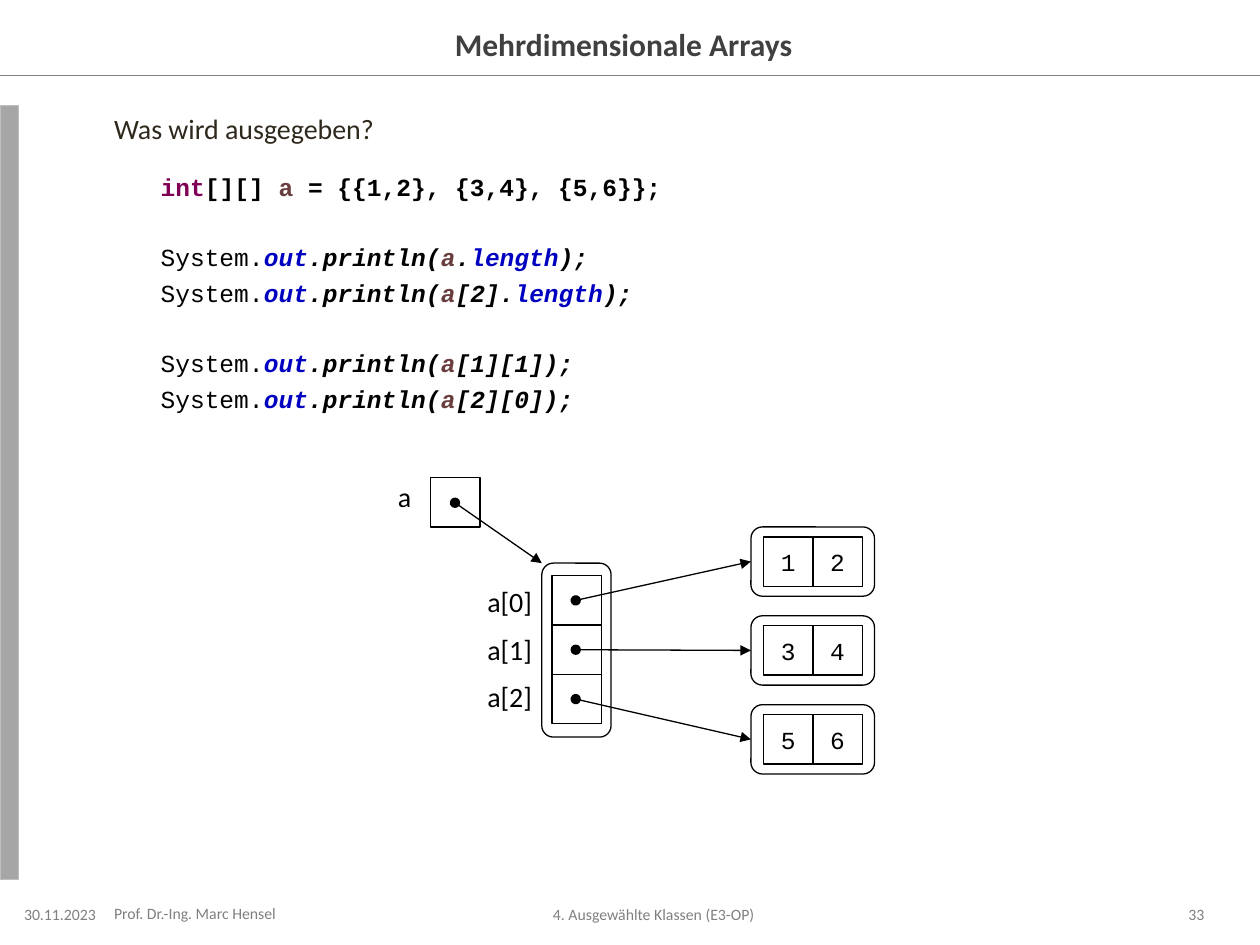
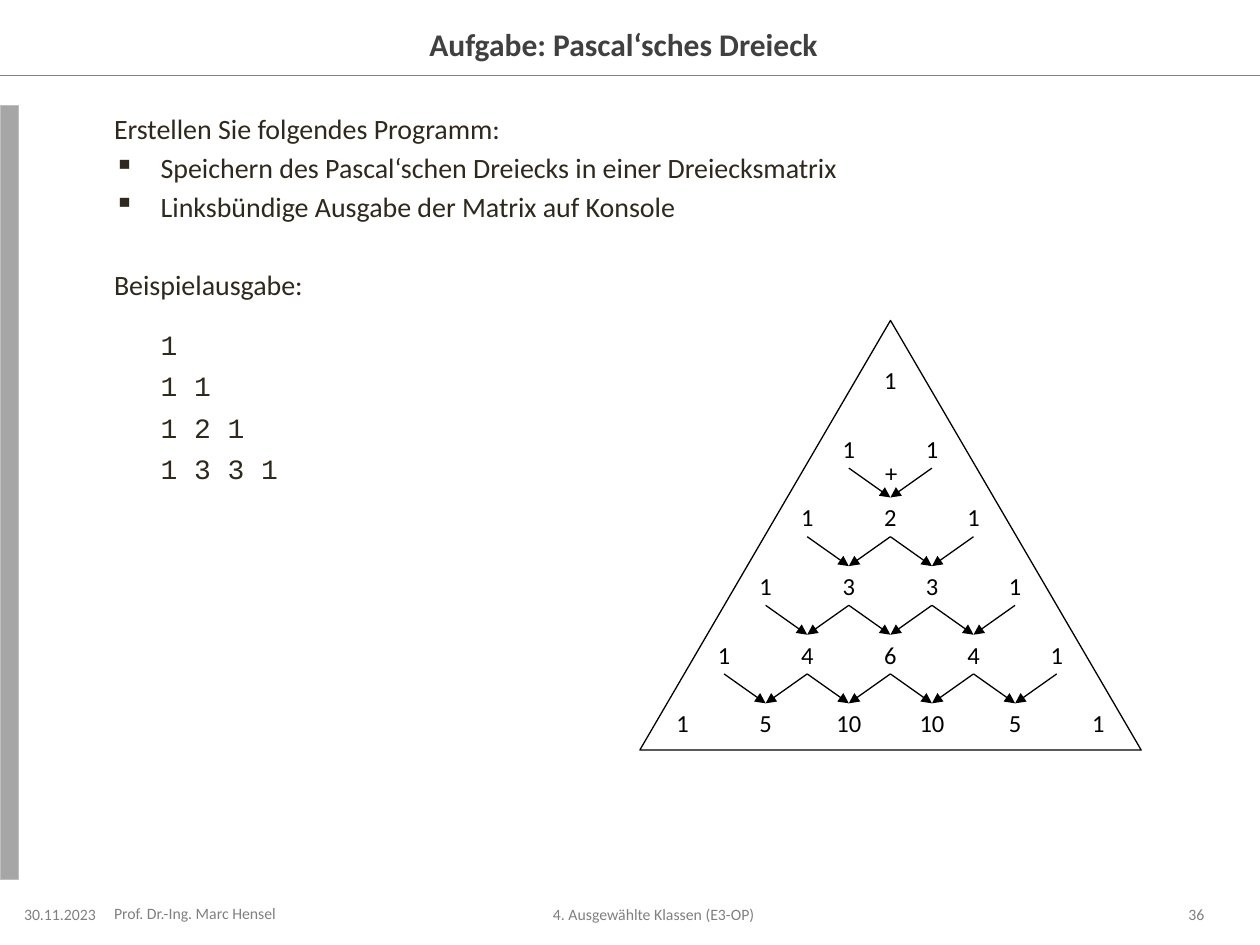
from dataclasses import dataclass
from math import comb

from lxml import etree
from pptx import Presentation
from pptx.dml.color import RGBColor
from pptx.enum.shapes import MSO_CONNECTOR, MSO_SHAPE
from pptx.enum.text import MSO_ANCHOR, MSO_AUTO_SIZE, PP_ALIGN
from pptx.oxml.ns import qn
from pptx.util import Pt

RECT = MSO_SHAPE.RECTANGLE
ROUNDED = MSO_SHAPE.ROUNDED_RECTANGLE
TRIANGLE = MSO_SHAPE.ISOSCELES_TRIANGLE
STRAIGHT = MSO_CONNECTOR.STRAIGHT
LEFT, CENTER, RIGHT = PP_ALIGN.LEFT, PP_ALIGN.CENTER, PP_ALIGN.RIGHT
TOP, MIDDLE = MSO_ANCHOR.TOP, MSO_ANCHOR.MIDDLE
NO_AUTOFIT = MSO_AUTO_SIZE.NONE
SIDE_TOP, SIDE_LEFT, SIDE_BOTTOM = 0, 1, 2
TITLE_ONLY = 5


@dataclass(frozen=True)
class Theme:
    sans: str = "Calibri"
    mono: str = "Courier New"
    black: str = "000000"
    white: str = "FFFFFF"
    body: str = "2F291D"
    title: str = "404040"
    footer: str = "808080"
    band: str = "A6A6A6"
    band_edge: str = "BFBFBF"
    keyword: str = "7F0055"
    variable: str = "6A3E3E"
    member: str = "0000C0"
    title_size: float = 18
    text_size: float = 16
    code_size: float = 14
    footer_size: float = 9
    line_width: float = 0.75
    indent: float = 26.65


@dataclass(frozen=True)
class Style:
    size: float
    color: str
    font: str = Theme.sans
    bold: bool = False
    italic: bool = False


@dataclass(frozen=True)
class Line:
    runs: tuple
    before: float = 0
    indent: float = 0
    bullet: str = ""


THEME = Theme()
BODY = Style(THEME.text_size, THEME.body)
CONSOLE = Style(THEME.text_size, THEME.body, THEME.mono)
LABEL = Style(THEME.text_size, THEME.black)
NUMBER = Style(THEME.code_size, THEME.black)
VALUE = Style(THEME.code_size, THEME.black, THEME.mono)
FOOTER = Style(THEME.footer_size, THEME.footer)
TITLE = Style(THEME.title_size, THEME.title, bold=True)
FLUSH = (0, 3.6, 7.2, 3.6)
FLUSH_RIGHT = (7.2, 3.6, 0, 3.6)
INSET = (7.2, 3.6, 7.2, 3.6)
NARROW = (2.9, 3.6, 2.9, 3.6)


def code(color, bold=True, italic=False):
    return Style(THEME.code_size, color, THEME.mono, bold, italic)


def println(before, *arguments):
    call = [("System.", THEME.black), ("out", THEME.member),
            (".println(", THEME.black), ("a", THEME.variable), *arguments]
    runs = tuple((text, code(color, i > 0, i > 0)) for i, (text, color) in enumerate(call))
    return Line(runs, before, THEME.indent)


class Deck:
    def __init__(self, theme):
        self.theme = theme
        self.presentation = Presentation()
        self.presentation.slide_width = Pt(720)
        self.presentation.slide_height = Pt(540)
        self.slide = None

    def new_slide(self, title, number):
        layout = self.presentation.slide_layouts[TITLE_ONLY]
        self.slide = self.presentation.slides.add_slide(layout)
        heading = self.slide.shapes.title
        heading.left, heading.top = Pt(89.3), Pt(10.8)
        heading.width, heading.height = Pt(541.4), Pt(28.1)
        self.fill_text(heading, [Line(((title, TITLE),))], CENTER, MIDDLE, FLUSH)
        self.line((0, 43.2), (720, 43.2), self.theme.footer)
        self.shape(RECT, (0, 60.5, 10.8, 442.1), self.theme.band, self.theme.band_edge)
        for text, box, align, inset in (
            ("4. Ausgewählte Klassen (E3-OP)", (178.6, 517, 396.7, 10.8), CENTER, FLUSH),
            ("30.11.2023", (10.8, 516.6, 54, 11.3), CENTER, FLUSH),
            ("Prof. Dr.-Ing. Marc Hensel", (65.2, 516.6, 108, 10.8), LEFT, FLUSH),
            (number, (642.2, 517, 46.1, 10.8), RIGHT, FLUSH_RIGHT),
        ):
            self.text(box, [Line(((text, FOOTER),))], align, MIDDLE, inset)

    def fill_text(self, target, lines, align=LEFT, anchor=TOP, inset=INSET):
        frame = target.text_frame
        frame.auto_size = NO_AUTOFIT
        frame.word_wrap = True
        frame.vertical_anchor = anchor
        frame.margin_left, frame.margin_top, frame.margin_right, frame.margin_bottom = map(Pt, inset)
        for i, line in enumerate(lines):
            paragraph = frame.add_paragraph() if i else frame.paragraphs[0]
            paragraph.alignment = align
            paragraph.space_before = Pt(line.before)
            properties = paragraph._p.get_or_add_pPr()
            properties.set("marL", str(Pt(line.indent)))
            properties.set("indent", str(-Pt(line.indent) if line.bullet else 0))
            if line.bullet:
                etree.SubElement(properties, qn("a:buChar"), char=line.bullet)
            for text, style in line.runs:
                run = paragraph.add_run()
                run.text = text
                font = run.font
                font.name, font.size = style.font, Pt(style.size)
                font.bold, font.italic = style.bold, style.italic
                font.color.rgb = RGBColor.from_string(style.color)

    def text(self, box, lines, align=LEFT, anchor=TOP, inset=INSET):
        target = self.slide.shapes.add_textbox(*map(Pt, box))
        self.fill_text(target, lines, align, anchor, inset)

    def body(self, lines):
        self.text((65.2, 60.5, 623.5, 442.1), lines, inset=FLUSH)

    def shape(self, kind, box, fill=None, edge=None):
        shape = self.slide.shapes.add_shape(kind, *map(Pt, box))
        shape.shadow.inherit = False
        if fill:
            shape.fill.solid()
            shape.fill.fore_color.rgb = RGBColor.from_string(fill)
        else:
            shape.fill.background()
        if edge:
            shape.line.color.rgb = RGBColor.from_string(edge)
            shape.line.width = Pt(self.theme.line_width)
        else:
            shape.line.fill.background()
        return shape

    def outline(self, kind, box):
        return self.shape(kind, box, edge=self.theme.black)

    def cell(self, box, text="", style=VALUE, edge=None, inset=INSET):
        cell = self.shape(RECT, box, self.theme.white, edge)
        if text:
            self.fill_text(cell, [Line(((text, style),))], CENTER, MIDDLE, inset)
        return cell

    def line(self, start, end, color, head=None, tail=None):
        connector = self.slide.shapes.add_connector(STRAIGHT, *map(Pt, (*start, *end)))
        connector.line.color.rgb = RGBColor.from_string(color)
        connector.line.width = Pt(self.theme.line_width)
        properties = connector.element.spPr
        stroke = properties.find(qn("a:ln"))
        for tag, kind in (("a:headEnd", head), ("a:tailEnd", tail)):
            if kind:
                etree.SubElement(stroke, qn(tag), type=kind)
        etree.SubElement(properties, qn("a:effectLst"))
        return connector

    def reference(self, start, end):
        return self.line(start, end, self.theme.black, "oval", "triangle")

    def sum_arrow(self, parent, child):
        arrow = self.line((0, 0), (0, 0), self.theme.black, tail="triangle")
        arrow.begin_connect(parent, SIDE_BOTTOM)
        arrow.end_connect(child, SIDE_TOP)


def arrays_slide(deck):
    theme = deck.theme
    deck.new_slide("Mehrdimensionale Arrays", "33")
    declaration = (("int", theme.keyword), ("[][] ", theme.black), ("a", theme.variable),
                   (" = {{1,2}, {3,4}, {5,6}};", theme.black))
    close, member = (");", theme.black), ("length", theme.member)
    near, far = 3.7, 23.2
    deck.body([
        Line((("Was wird ausgegeben?", BODY),)),
        Line(tuple((text, code(color)) for text, color in declaration), 14.9, theme.indent),
        println(far, (".", theme.black), member, close),
        println(near, ("[2].", theme.black), member, close),
        println(far, ("[1][1]);", theme.black)),
        println(near, ("[2][0]);", theme.black)),
    ])

    side = 28.2
    deck.text((220.3, 270.7, 39.6, 29.5), [Line((("a", LABEL),))])
    deck.cell((246.2, 272.9, side, side), edge=theme.black)
    deck.reference((260, 287.3), (309.6, 321.8))
    deck.outline(ROUNDED, (309.6, 321.8, 39.6, 99.4))
    deck.text((271.4, 330.5, 54, 90),
              [Line(((f"a[{i}]", LABEL),), 8 if i else 0) for i in range(3)])
    for i, row in enumerate(((1, 2), (3, 4), (5, 6))):
        slot_top = 329 + i * side
        row_top = 301.1 + i * 50.8
        deck.cell((315.4, slot_top, side, side), edge=theme.black)
        row_frame = deck.outline(ROUNDED, (429.1, row_top, 70.6, 39.6))
        for j, value in enumerate(row):
            deck.cell((436.3 + j * side, row_top + 5.7, side, side), str(value), edge=theme.black)
        deck.reference((329, slot_top + side / 2), (429.1, row_top + 19.8)).end_connect(
            row_frame, SIDE_LEFT)


def pascal_slide(deck):
    deck.new_slide("Aufgabe: Pascal‘sches Dreieck", "36")
    indent, near = deck.theme.indent, 2.9
    tasks = ("Speichern des Pascal‘schen Dreiecks in einer Dreiecksmatrix",
             "Linksbündige Ausgabe der Matrix auf Konsole")
    triangle = [[str(comb(n, k)) for k in range(n + 1)] for n in range(6)]
    deck.body([
        Line((("Erstellen Sie folgendes Programm:", BODY),)),
        *(Line(((task, BODY),), near, indent, "▪") for task in tasks),
        Line((("Beispielausgabe:", BODY),), 25.3),
        *(Line(((" ".join(row), CONSOLE),), 4.3 if n else 15.5, indent)
          for n, row in enumerate(triangle[:4])),
    ])

    width, height, center = 28.2, 22.4, 508.8
    column_step, row_step = 47.52, 39.2
    parents = []
    for n, row in enumerate(triangle):
        left = center - width / 2 - n * column_step / 2
        children = [deck.cell((left + k * column_step, 205.9 + n * row_step, width, height),
                              value, NUMBER, inset=NARROW) for k, value in enumerate(row)]
        for k in range(1, n):
            deck.sum_arrow(parents[k - 1], children[k])
            deck.sum_arrow(parents[k], children[k])
        parents = children
    deck.text((495.2, 258.7, width, height), [Line((("+", NUMBER),))], CENTER, MIDDLE, NARROW)
    deck.outline(TRIANGLE, (365.6, 183.1, 286.5, 245.5))


def main():
    deck = Deck(THEME)
    arrays_slide(deck)
    pascal_slide(deck)
    deck.presentation.save("out.pptx")


if __name__ == "__main__":
    main()
